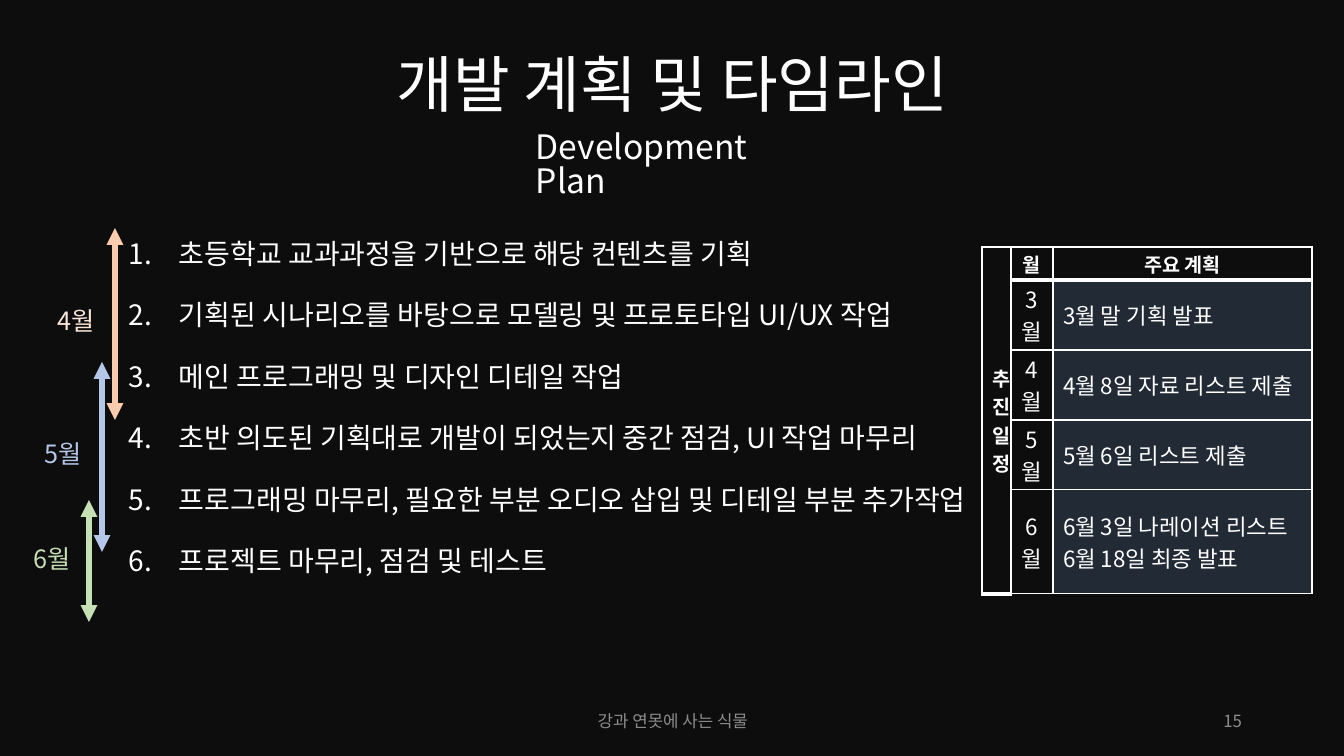
from dataclasses import dataclass

from lxml.etree import SubElement
from pptx import Presentation
from pptx.dml.color import RGBColor
from pptx.enum.shapes import MSO_CONNECTOR
from pptx.enum.text import MSO_ANCHOR as Anchor, PP_ALIGN as Align
from pptx.oxml.ns import qn
from pptx.util import Emu, Pt


@dataclass(frozen=True)
class Theme:
    font: str = "Noto Sans CJK KR"
    background: str = "0D0D0D"
    text: str = "FFFFFF"
    footer: str = "8C8C8C"
    plan_fill: str = "222A35"
    title_size: int = 44
    subtitle_size: int = 24
    step_size: int = 20
    month_size: int = 18
    plan_size: int = 16
    header_size: int = 14
    footer_size: int = 12
    tight: float = 0.83
    arrow_width: int = 4
    thin: int = 1
    thick: int = 3


THEME = Theme()

TITLE = "개발 계획 및 타임라인"
SUBTITLE = "Development Plan"
FOOTER = "강과 연못에 사는 식물"
PAGE = "15"
STEPS = [
    "초등학교 교과과정을 기반으로 해당 컨텐츠를 기획",
    "기획된 시나리오를 바탕으로 모델링 및 프로토타입 UI/UX 작업",
    "메인 프로그래밍 및 디자인 디테일 작업",
    "초반 의도된 기획대로 개발이 되었는지 중간 점검, UI 작업 마무리",
    "프로그래밍 마무리, 필요한 부분 오디오 삽입 및 디테일 부분 추가작업",
    "프로젝트 마무리, 점검 및 테스트",
]
# label, label left and top, arrow x, start y, end y, arrow colour, label colour
MONTHS = [
    ("4월", 48, 305, 115, 228, 420, "F8CBAD", "FBE5D6"),
    ("5월", 35, 438, 102, 362, 552, "B4C7E7", "B4C7E7"),
    ("6월", 24, 543, 89, 622, 500, "C5E0B4", "C5E0B4"),
]
SCHEDULE_TITLE = ["추진", "일정"]
SCHEDULE = [
    ("월", ["주요 계획"]),
    ("3월", ["3월 말 기획 발표"]),
    ("4월", ["4월 8일 자료 리스트 제출"]),
    ("5월", ["5월 6일 리스트 제출"]),
    ("6월", ["6월 3일 나레이션 리스트", "6월 18일 최종 발표"]),
]
COLUMN_WIDTHS = [29, 42, 259]
ROW_HEIGHTS = [33, 70, 70, 70, 104]


def px(length):
    return Emu(round(length * 914400 / 100.8))


def rgb(color):
    return RGBColor.from_string(color)


def write(frame, lines, size, color=THEME.text, align=Align.LEFT, bold=False,
          spacing=None, gap=0, numbered=False):
    """Fill a text frame with one paragraph for each line."""
    for index, line in enumerate(lines):
        paragraph = frame.paragraphs[0] if index == 0 else frame.add_paragraph()
        paragraph.alignment = align
        if spacing:
            paragraph.line_spacing = spacing
        if index and gap:
            paragraph.space_before = Pt(gap)
        if numbered:
            properties = paragraph._p.get_or_add_pPr()
            properties.set("marL", str(px(50)))
            properties.set("indent", str(-px(50)))
            SubElement(properties, qn("a:buAutoNum"), type="arabicPeriod")
        run = paragraph.add_run()
        run.text = line
        font = run.font
        font.name, font.size, font.bold = THEME.font, Pt(size), bold
        font.color.rgb = rgb(color)
        SubElement(run._r.get_or_add_rPr(), qn("a:ea"), typeface=THEME.font)


def add_text(slide, box, lines, size, anchor=Anchor.TOP, **style):
    frame = slide.shapes.add_textbox(*map(px, box)).text_frame
    frame.word_wrap = True
    frame.vertical_anchor = anchor
    write(frame, lines, size, **style)


def add_arrow(slide, x, start, end, color):
    arrow = slide.shapes.add_connector(
        MSO_CONNECTOR.STRAIGHT, px(x), px(start), px(x), px(end))
    arrow.line.width = Pt(THEME.arrow_width)
    arrow.line.color.rgb = rgb(color)
    line = arrow.line._get_or_add_ln()
    for end_tag in ("a:headEnd", "a:tailEnd"):
        SubElement(line, qn(end_tag), type="triangle")
    SubElement(arrow._element.spPr, qn("a:effectLst"))


def style_cell(cell, fill, top, bottom):
    """Set borders first, then the fill, as the schema orders them."""
    properties = cell._tc.get_or_add_tcPr()
    widths = {"L": THEME.thin, "R": THEME.thin, "T": top, "B": bottom}
    for side, width in widths.items():
        border = SubElement(properties, qn(f"a:ln{side}"), w=str(Pt(width)))
        solid = SubElement(border, qn("a:solidFill"))
        SubElement(solid, qn("a:srgbClr"), val=THEME.text)
    cell.fill.solid()
    cell.fill.fore_color.rgb = rgb(fill)
    cell.margin_top = cell.margin_bottom = px(2)
    cell.vertical_anchor = Anchor.MIDDLE


def add_schedule(slide, left, top):
    table = slide.shapes.add_table(
        len(ROW_HEIGHTS), len(COLUMN_WIDTHS), px(left), px(top),
        px(sum(COLUMN_WIDTHS)), px(sum(ROW_HEIGHTS))).table
    table.first_row = table.horz_banding = False
    for column, width in zip(table.columns, COLUMN_WIDTHS):
        column.width = px(width)
    for row, height in zip(table.rows, ROW_HEIGHTS):
        row.height = px(height)

    last = len(SCHEDULE) - 1
    table.cell(0, 0).merge(table.cell(last, 0))
    for row, (month, plans) in enumerate(SCHEDULE):
        header = row == 0
        contents = [SCHEDULE_TITLE if header else [], [month], plans]
        for column, lines in enumerate(contents):
            cell = table.cell(row, column)
            is_plan = column == 2 and not header
            above = THEME.thick if row == 1 and column else THEME.thin
            below = THEME.thick if header or (row == last and not column) else THEME.thin
            style_cell(cell, THEME.plan_fill if is_plan else THEME.background,
                       above, below)
            write(cell.text_frame, lines,
                  THEME.header_size if header else THEME.plan_size,
                  align=Align.LEFT if is_plan else Align.CENTER, bold=header)


def main():
    presentation = Presentation()
    presentation.slide_width, presentation.slide_height = px(1344), px(756)
    slide = presentation.slides.add_slide(presentation.slide_layouts[6])
    slide.background.fill.solid()
    slide.background.fill.fore_color.rgb = rgb(THEME.background)

    add_text(slide, (93, 15, 1159, 146), [TITLE], THEME.title_size,
             Anchor.MIDDLE, align=Align.CENTER, spacing=0.9)
    add_text(slide, (526, 128, 292, 50), [SUBTITLE], THEME.subtitle_size,
             spacing=THEME.tight)
    add_text(slide, (119, 237, 863, 383), STEPS, THEME.step_size,
             spacing=THEME.tight, gap=24, numbered=True)
    add_text(slide, (950, 701, 302, 40), [PAGE], THEME.footer_size,
             Anchor.MIDDLE, color=THEME.footer, align=Align.RIGHT)
    add_text(slide, (446, 701, 454, 40), [FOOTER], THEME.footer_size,
             Anchor.MIDDLE, color=THEME.footer, align=Align.CENTER)
    add_schedule(slide, 982, 247)
    for label, left, top, x, start, end, arrow_color, label_color in MONTHS:
        add_arrow(slide, x, start, end, arrow_color)
        add_text(slide, (left, top, 59, 40), [label], THEME.month_size,
                 color=label_color, spacing=THEME.tight)
    presentation.save("out.pptx")


if __name__ == "__main__":
    main()
